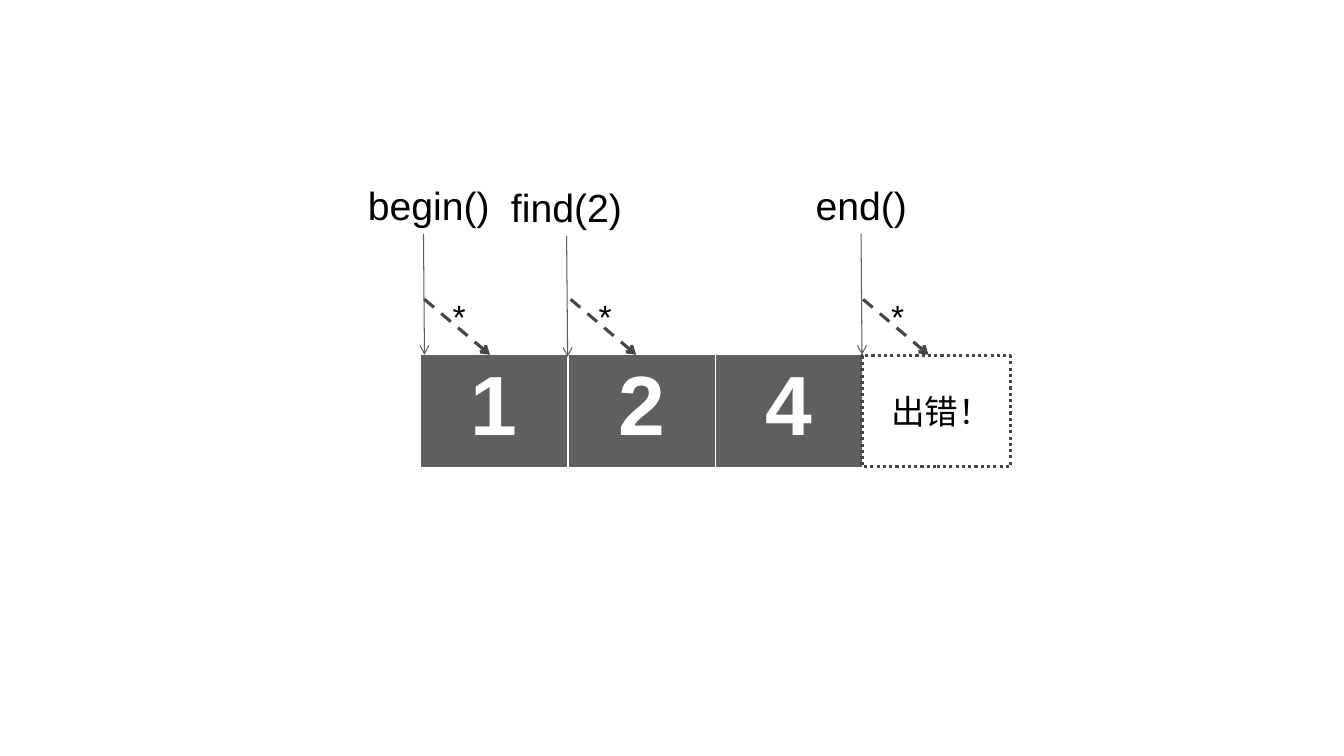
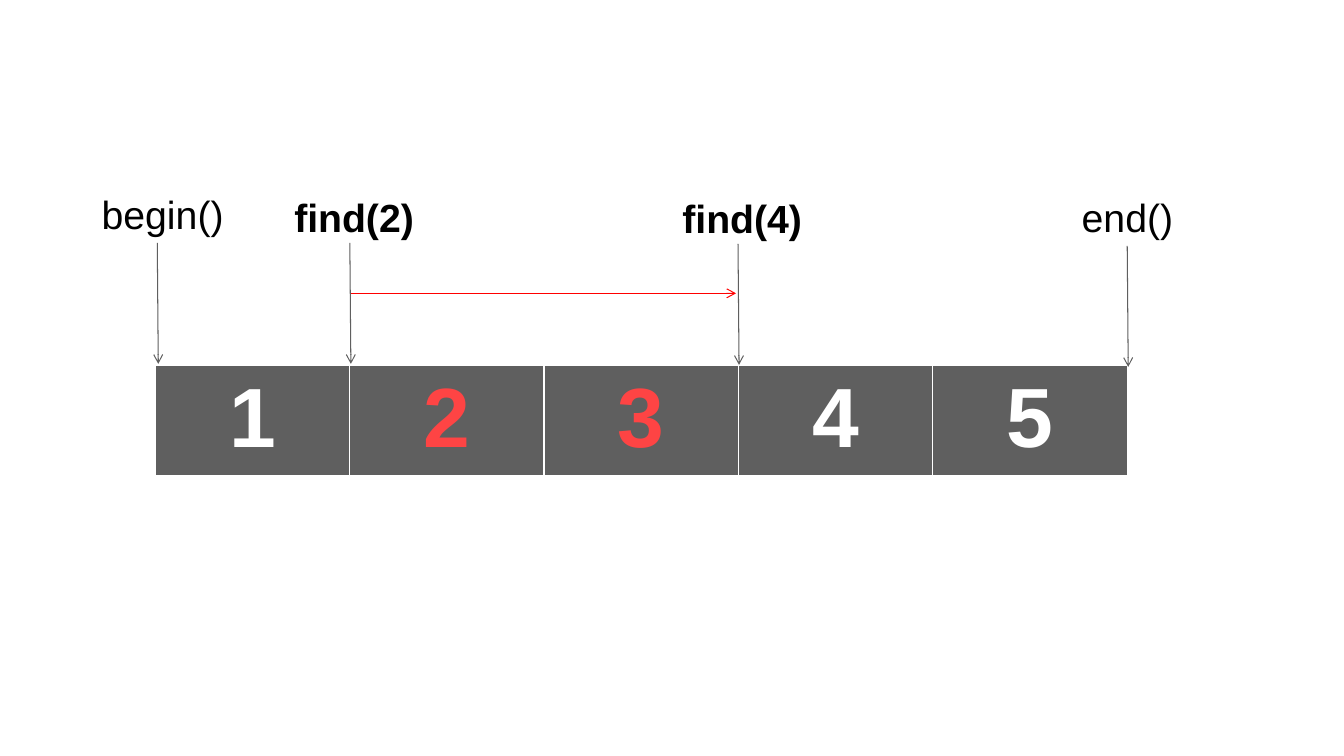
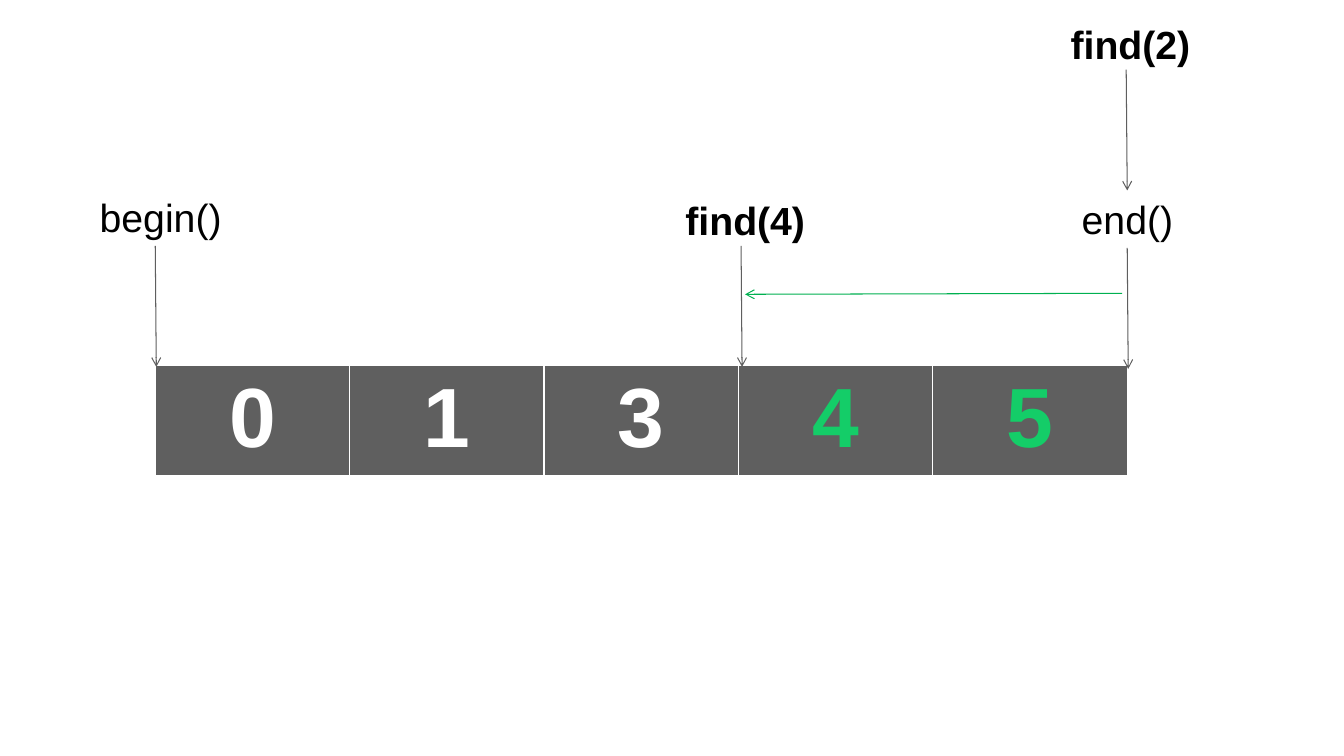
"""Draws three slides that show how container iterators point between elements."""
from dataclasses import dataclass

from lxml import etree
from pptx import Presentation
from pptx import util as u
from pptx.dml.color import RGBColor
from pptx.enum import dml, shapes, text
from pptx.oxml import ns, parse_xml


@dataclass(frozen=True)
class Theme:
    font: str = "Arial"
    white: str = "FFFFFF"
    black: str = "000000"
    cell: str = "5F5F5F"
    dark: str = "464646"
    red: str = "FE4444"
    green: str = "14CD68"
    red_arrow: str = "FF0000"
    green_arrow: str = "00B050"
    value_size: int = 60
    label_size: int = 28
    note_size: int = 24
    thin: float = 0.75
    thick: float = 2.25


theme = Theme()


def add_label(page, words, left, top, width, height, size, bold=False):
    box = page.shapes.add_textbox(*map(u.Inches, (left, top, width, height)))
    box.text_frame.word_wrap = False
    box.text_frame.auto_size = text.MSO_AUTO_SIZE.SHAPE_TO_FIT_TEXT
    para = box.text_frame.paragraphs[0]
    para.text = words
    para.font.name = theme.font
    para.font.size = u.Pt(size)
    para.font.bold = bold
    para.font.color.rgb = RGBColor.from_string(theme.black)


def add_arrow(page, start, end, color, width=theme.thin, dash=None):
    arrow = page.shapes.add_connector(
        shapes.MSO_CONNECTOR.STRAIGHT, *map(u.Inches, (*start, *end)))
    arrow.line.color.rgb = RGBColor.from_string(color)
    arrow.line.width = u.Pt(width)
    if dash:
        arrow.line.dash_style = dash
    properties = arrow._element.spPr
    outline = properties.find(ns.qn("a:ln"))
    etree.SubElement(outline, ns.qn("a:tailEnd"), type="arrow")
    etree.SubElement(properties, ns.qn("a:effectLst"))


deck = Presentation()
deck.slide_width = u.Inches(13.33)
deck.slide_height = u.Inches(7.5)

label_boxes = {
    ("begin()", False): (1.41, 0.65),
    ("find(2)", False): (1.3, 0.65),
    ("find(2)", True): (1.39, 0.65),
    ("find(4)", True): (1.39, 0.65),
    ("end()", False): (1.11, 0.55),
}
border_widths = {"lnL": 1, "lnR": 1, "lnT": 1, "lnB": 3}
wide_row = (1.54, 3.63, 9.64, 1.1)

slides = [
    {
        "row": (4.17, 3.52, 4.39, 1.13),
        "values": "124", "marked": "", "mark": theme.white,
        "pointers": [("find(2)", False, 5.62, 2.34),
                     ("begin()", False, 4.2, 2.32),
                     ("end()", False, 8.54, 2.32)],
        "ranges": [],
        "dereferences": [4.21, 5.66, 8.56],
    },
    {
        "row": wide_row,
        "values": "12345", "marked": "23", "mark": theme.red,
        "pointers": [("find(4)", True, 7.32, 2.42),
                     ("begin()", False, 1.56, 2.41),
                     ("end()", False, 11.18, 2.44),
                     ("find(2)", True, 3.47, 2.41)],
        "ranges": [((3.48, 2.91), (7.3, 2.91), theme.red_arrow)],
        "dereferences": [],
    },
    {
        "row": wide_row,
        "values": "01345", "marked": "45", "mark": theme.green,
        "pointers": [("find(4)", True, 7.35, 2.44),
                     ("begin()", False, 1.54, 2.44),
                     ("end()", False, 11.18, 2.46),
                     ("find(2)", True, 11.17, 0.69)],
        "ranges": [((11.13, 2.91), (7.39, 2.92), theme.green_arrow)],
        "dereferences": [],
    },
]

pages = []
for content in slides:
    page = deck.slides.add_slide(deck.slide_layouts[6])
    pages.append(page)

    values = content["values"]
    table = page.shapes.add_table(
        1, len(values), *map(u.Inches, content["row"])).table
    for cell, value in zip(table.rows[0].cells, values):
        para = cell.text_frame.paragraphs[0]
        para.text = value
        para.alignment = text.PP_ALIGN.CENTER
        para.font.name = theme.font
        para.font.size = u.Pt(theme.value_size)
        para.font.bold = True
        color = content["mark"] if value in content["marked"] else theme.white
        para.font.color.rgb = RGBColor.from_string(color)
        cell.fill.solid()
        cell.fill.fore_color.rgb = RGBColor.from_string(theme.cell)
        for position, (side, width) in enumerate(border_widths.items()):
            border = parse_xml(
                f'<a:{side} {ns.nsdecls("a")} w="{u.Pt(width)}"><a:solidFill>'
                f'<a:srgbClr val="{theme.white}"/></a:solidFill></a:{side}>')
            cell._tc.tcPr.insert(position, border)

    for label, bold, x, y in content["pointers"]:
        width, offset = label_boxes[label, bold]
        rise = 0.54 if bold else 0.57
        add_arrow(page, (x, y), (x + 0.01, y + 1.2), theme.cell)
        add_label(page, label, x - offset, y - rise, width, 0.57,
                  theme.label_size, bold)

    for start, end, color in content["ranges"]:
        add_arrow(page, start, end, color)

    for x in content["dereferences"]:
        add_arrow(page, (x, 2.97), (x + 0.65, 3.52), theme.dark, theme.thick,
                  dml.MSO_LINE.DASH)
        add_label(page, "*", x + 0.18, 2.89, 0.33, 0.5, theme.note_size)

past_end = pages[0].shapes.add_shape(
    shapes.MSO_SHAPE.RECTANGLE, *map(u.Inches, (8.55, 3.53, 1.47, 1.1)))
past_end.shadow.inherit = False
past_end.fill.solid()
past_end.fill.fore_color.rgb = RGBColor.from_string(theme.white)
past_end.line.color.rgb = RGBColor.from_string(theme.dark)
past_end.line.width = u.Pt(theme.thick)
past_end.line.dash_style = dml.MSO_LINE.ROUND_DOT
add_label(pages[0], "出错！", 8.74, 3.83, 1.2, 0.5, theme.note_size)

deck.save("out.pptx")
